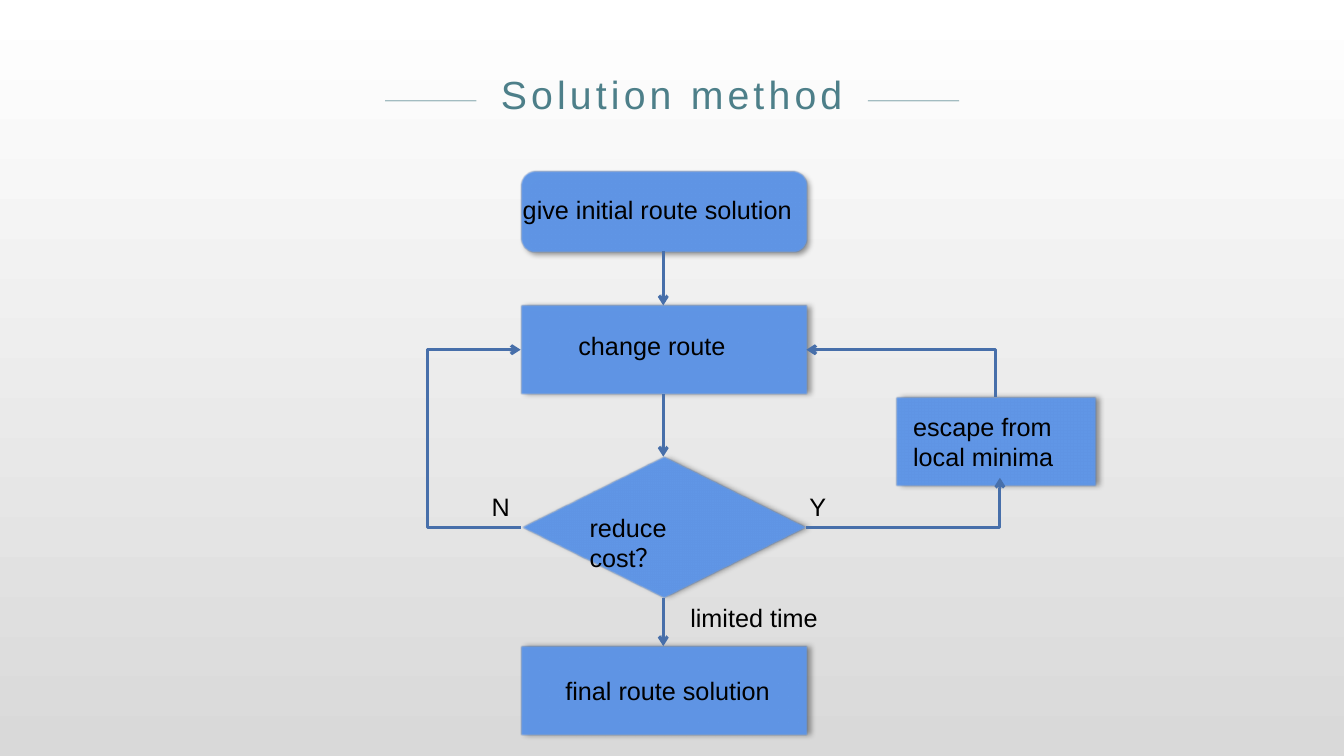
from lxml import etree
from pptx import Presentation
from pptx import util as u
from pptx.dml.color import RGBColor
from pptx.enum import shapes, text
from pptx.oxml import parse_xml
from pptx.oxml.ns import qn

WIDE, HIGH = u.Inches(13.33), u.Inches(7.5)
COLS, ROWS = 160, 90
FONT = "Arial"
BLUE, EDGE, TEAL, RUST = "6096E6", "476FAA", "4D7F89", "A2633C"
DRAW = "http://schemas.openxmlformats.org/drawingml/2006/main"

LEFT, WIDTH, TALL = 62, 34.1, 10.56
SPINE = 78.96
LOOP, TURN = 62.76, 41.64


def col(n):
    """Turn grid columns into a length."""
    return u.Emu(round(WIDE * n / COLS))


def row(n):
    """Turn grid rows into a length."""
    return u.Emu(round(HIGH * n / ROWS))


def area(x, y, w, h):
    """Turn a grid area into left, top, width and height."""
    return col(x), row(y), col(w), row(h)


def paint(part, tint):
    """Set a colour from a hex string."""
    part.rgb = RGBColor.from_string(tint)


def blend(fill, tints, angle):
    """Give a fill a gradient of two colours."""
    fill.gradient()
    fill.gradient_angle = angle
    for stop, tint in zip(fill.gradient_stops, tints):
        paint(stop.color, tint)


def write(frame, words, size, tint="000000"):
    """Add one run to a text frame and return it."""
    frame.word_wrap = True
    run = frame.paragraphs[0].add_run()
    run.text = words
    run.font.size, run.font.name = u.Pt(size), FONT
    paint(run.font.color, tint)
    return run


def title(slide, words):
    """Place and format the title between its rules."""
    head = slide.shapes.title
    head.left, head.top, head.width, head.height = area(57.36, 7.8, 45.24, 6.84)
    frame = head.text_frame
    frame.auto_size = text.MSO_AUTO_SIZE.NONE
    frame.vertical_anchor = text.MSO_ANCHOR.TOP
    frame.paragraphs[0].alignment = text.PP_ALIGN.CENTER
    run = write(frame, words, 28, TEAL)
    blend(run.font.fill, (TEAL, RUST), 0)
    run.font._element.set("spc", "300")


def label(slide, words, x, y, w, h=4.8):
    """Add a text label."""
    write(slide.shapes.add_textbox(*area(x, y, w, h)).text_frame, words, 18)


def node(slide, kind, x, y, w, h, angle=0):
    """Add a flow chart shape with a soft edge and a shadow."""
    shape = slide.shapes.add_shape(kind, *area(x, y, w, h))
    shape.shadow.inherit = False
    shape.fill.solid()
    paint(shape.fill.fore_color, BLUE)
    paint(shape.line.color, EDGE)
    shape.line.width = u.Pt(1)
    glow = shape._element.spPr.find(qn("a:effectLst"))
    glow.append(parse_xml(
        f'<a:outerShdw xmlns:a="{DRAW}" blurRad="50800" dist="38100" '
        f'dir="{angle * 60000}" algn="l" rotWithShape="0">'
        '<a:srgbClr val="000000"><a:alpha val="40000"/></a:srgbClr></a:outerShdw>'))
    etree.SubElement(glow, qn("a:softEdge"), rad="12700")


def link(slide, start, end, tint=EDGE, width=2.25, bent=False):
    """Add a plain straight or elbow connector."""
    kind = shapes.MSO_CONNECTOR.ELBOW if bent else shapes.MSO_CONNECTOR.STRAIGHT
    line = slide.shapes.add_connector(
        kind, col(start[0]), row(start[1]), col(end[0]), row(end[1]))
    paint(line.line.color, tint)
    line.line.width = u.Pt(width)
    etree.SubElement(line._element.spPr, qn("a:effectLst"))
    return line


def tip(line, end="tailEnd"):
    """Put an open arrowhead on one end of a connector."""
    etree.SubElement(line.line._get_or_add_ln(), qn(f"a:{end}"), type="arrow")


def rule(slide, x1, x2):
    """Add a half clear line beside the title."""
    line = link(slide, (x1, 12), (x2, 12), TEAL, 1)
    tone = line._element.spPr.find(".//" + qn("a:srgbClr"))
    etree.SubElement(tone, qn("a:alpha"), val="50000")


def corner(slide, start, end, tail="tailEnd"):
    """Add an arrow with one bend, level first."""
    line = link(slide, start, end, bent=True)
    line._element.spPr.find(qn("a:prstGeom")).set("prst", "bentConnector2")
    tip(line, tail)


def detour(slide, x, y1, y2, reach):
    """Add an arrow that goes out to the left and comes back."""
    line = link(slide, (x, y1), (x - 0.01, y2), bent=True)
    geom = line._element.spPr.find(qn("a:prstGeom"))
    part = round(col(reach) / line.width * 100000)
    etree.SubElement(geom.get_or_add_avLst(), qn("a:gd"),
                     name="adj1", fmla=f"val {part}")
    tip(line)


def main():
    """Build the slide and save it."""
    deck = Presentation()
    deck.slide_width, deck.slide_height = WIDE, HIGH
    slide = deck.slides.add_slide(deck.slide_layouts[5])
    blend(slide.background.fill, ("FFFFFF", "D9D9D9"), 270)

    title(slide, "Solution method")
    for x in (45.84, 103.32):
        rule(slide, x, x + 10.86)

    kind = shapes.MSO_SHAPE
    box = kind.FLOWCHART_PROCESS
    node(slide, kind.FLOWCHART_ALTERNATE_PROCESS, LEFT, 20.4, WIDTH, 9.6, 45)
    node(slide, box, LEFT, 36.36, WIDTH, TALL)
    node(slide, kind.DIAMOND, LEFT, 54.36, WIDTH, 16.8)
    node(slide, box, LEFT, 76.92, WIDTH, TALL)
    node(slide, box, 106.68, 47.28, 23.76, TALL)

    for y1, y2 in ((29.88, 36.36), (46.92, 54.36), (71.16, 76.92)):
        tip(link(slide, (SPINE, y1), (SPINE, y2)))
    detour(slide, LEFT, LOOP, TURN, 11.8)
    corner(slide, (96, LOOP), (119.04, 56.88))
    corner(slide, (96, TURN), (118.56, 47.28), "headEnd")

    label(slide, "give initial route solution", 61.05, 22.56, 35.2)
    label(slide, "change route", 67.68, 38.76, 21)
    label(slide, "reduce cost？", 69, 60.36, 20.4)
    label(slide, "final route solution", 66.12, 79.8, 27.72)
    label(slide, "escape from local minima", 107.52, 48.36, 22.92, 8.52)
    label(slide, "N", 57.36, 57.96, 7.68)
    label(slide, "Y", 95.16, 57.96, 7.32)
    label(slide, "limited time", 81, 71.16, 17.88)

    deck.save("out.pptx")


main()
